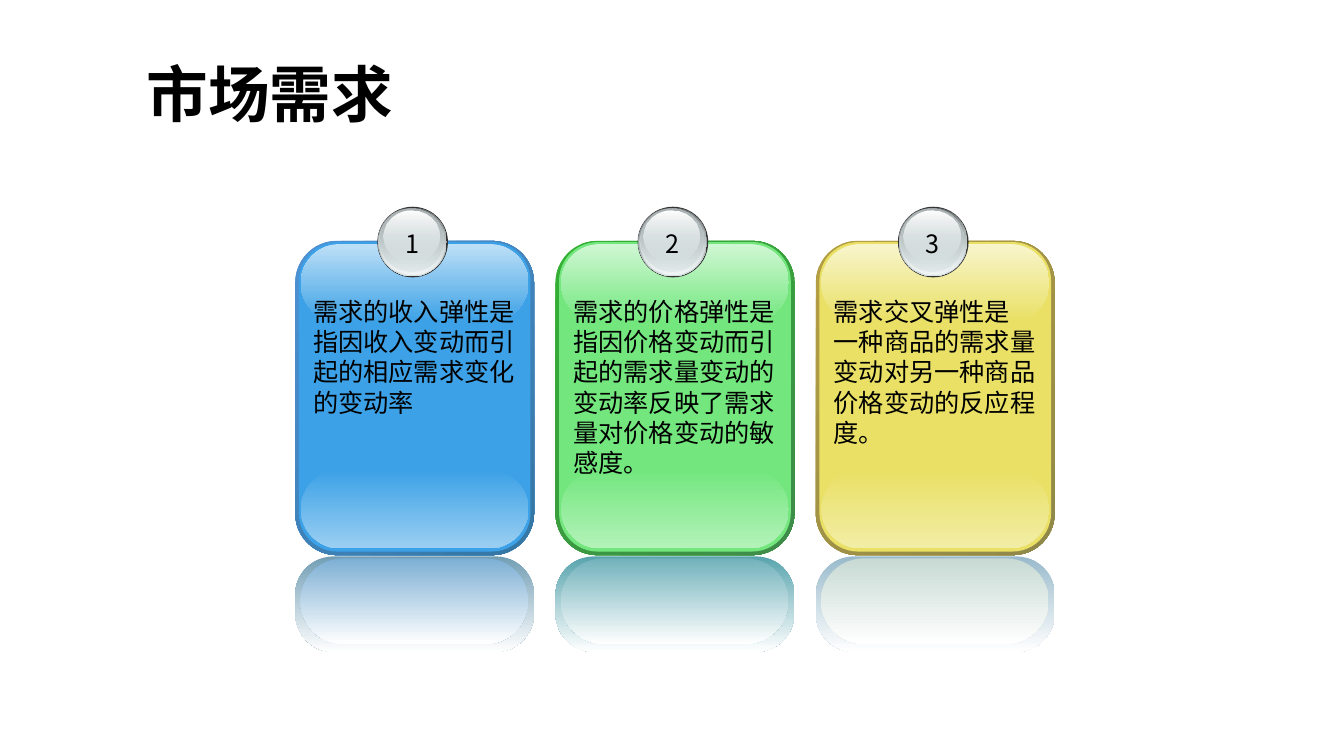
import pptx
import pptx.util
import pptx.dml.color
import pptx.enum.shapes
import pptx.enum.text
import pptx.oxml
import pptx.oxml.ns
from pptx.util import Cm

ROUND = pptx.enum.shapes.MSO_SHAPE.ROUNDED_RECTANGLE
OVAL = pptx.enum.shapes.MSO_SHAPE.OVAL
LEFT = pptx.enum.text.PP_ALIGN.LEFT
CENTER = pptx.enum.text.PP_ALIGN.CENTER
TOP = pptx.enum.text.MSO_ANCHOR.TOP
MIDDLE = pptx.enum.text.MSO_ANCHOR.MIDDLE


def rgb(color):
    return pptx.dml.color.RGBColor.from_string(color)


def sub(parent, tag, **attrs):
    el = pptx.oxml.parse_xml(f"<{tag} {pptx.oxml.ns.nsdecls('a')}/>")
    for name, value in attrs.items():
        el.set(name, value)
    parent.append(el)


class Deck:
    font = "Noto Sans CJK SC"
    ink = "000000"

    def __init__(self):
        self.prs = pptx.Presentation()
        self.prs.slide_width, self.prs.slide_height = Cm(33.87), Cm(19.05)
        self.s = self.prs.slides.add_slide(self.prs.slide_layouts[6])

    def shape(self, kind, box, fill, angle=90, adj=None):
        sp = self.s.shapes.add_shape(kind, *map(Cm, box))
        sp.shadow.inherit = False
        sp.line.fill.background()
        if adj is not None:
            sp.adjustments[0] = adj
        if isinstance(fill, str):
            sp.fill.solid()
            sp.fill.fore_color.rgb = rgb(fill)
        else:
            self.gradient(sp, fill, angle)

    def gradient(self, sp, colors, angle):
        sp.fill.gradient()
        sp.fill.gradient_angle = 360 - angle
        stops = sp.fill.gradient_stops
        for stop, position, color in zip(stops, (0, 1), colors):
            color, _, opacity = color.partition("/")
            stop.position = position
            stop.color.rgb = rgb(color)
            if opacity:
                clr = stop._gs.find(pptx.oxml.ns.qn("a:srgbClr"))
                sub(clr, "a:alpha", val=str(int(opacity) * 1000))

    def text(self, box, lines, size=18, bold=False, align=LEFT, anchor=TOP, wrap=True):
        tf = self.s.shapes.add_textbox(*map(Cm, box)).text_frame
        tf.word_wrap = wrap
        tf.vertical_anchor = anchor
        for i, line in enumerate(lines):
            p = tf.paragraphs[0] if i == 0 else tf.add_paragraph()
            p.text = line
            p.alignment = align
            p.font.size = pptx.util.Pt(size)
            p.font.bold = bold
            p.font.color.rgb = rgb(self.ink)
            p.font.name = self.font
            sub(p.font._element, "a:ea", typeface=self.font)

    def badge(self, x, number):
        discs = [
            (2.07, 5.21, 1.78, 1.78, "333333"),
            (2.09, 5.23, 1.73, 1.73, ("636869", "D6E1E2")),
            (2.11, 5.23, 1.68, 1.68, ("D6E1E2/0", "F1F5F5")),
            (2.13, 5.26, 1.6, 1.57, ("AAB2B3", "D6E1E2/48")),
            (2.22, 5.31, 1.42, 1.27, ("FFFFFF", "D6E1E2/38")),
        ]
        for dx, y, w, h, fill in discs:
            self.shape(OVAL, (x + dx, y, w, h), fill)
        self.text((x + 2.52, 5.64, 0.84, 1.02), [str(number)], align=CENTER, wrap=False)

    def card(self, x, number, lines, rim, face, low, high, mirror, mirror_face):
        layers = [
            (0, 6.07, 6.02, 7.92, rim, 45, 0.175),
            (0.09, 6.1, 5.84, 7.8, face, 90, 0.167),
            (0.14, 11.84, 5.74, 1.98, (face, low), 90, 0.5),
            (0.14, 6.15, 5.74, 1.96, (high, face), 90, 0.5),
            (0, 14.02, 6.02, 2.41, (mirror, "FFFFFF"), 90, 0.404),
            (0.13, 14.07, 5.74, 2.16, (mirror_face, "FFFFFF"), 90, 0.5),
        ]
        for dx, y, w, h, fill, angle, adj in layers:
            self.shape(ROUND, (x + dx, y, w, h), fill, angle, adj)
        self.badge(x, number)
        self.text((x + 0.2, 7.34, 5.72, 4.83), lines)


CARDS = [
    (["需求的收入弹性是指因收入变动而引起的相应需求变化的变动率"],
     ("4E91D4", "3477A4"), "3CA1E6", "9BCFF2", "BEE0F7", "729EB4", "7DAFD4"),
    (["需求的价格弹性是指因价格变动而引起的需求量变动的变动率反映了需求量对价格变动的敏感度。"],
     ("34B034", "3F8B4A"), "73E77E", "B3F2B9", "D0F7D4", "58A4AE", "72B2BB"),
    (["需求交叉弹性是", "一种商品的需求量变动对另一种商品价格变动的反应程度。"],
     ("B59F43", "8F8849"), "E9E065", "F2EDA6", "F8F5CC", "99BACC", "C8DAD4"),
]


def main():
    deck = Deck()
    deck.text((3.45, 0.76, 28.73, 3.18), ["市场需求"], size=44, bold=True, anchor=MIDDLE)
    for i, card in enumerate(CARDS):
        deck.card(7.44 + 6.56 * i, i + 1, *card)
    deck.prs.save("out.pptx")


if __name__ == "__main__":
    main()
